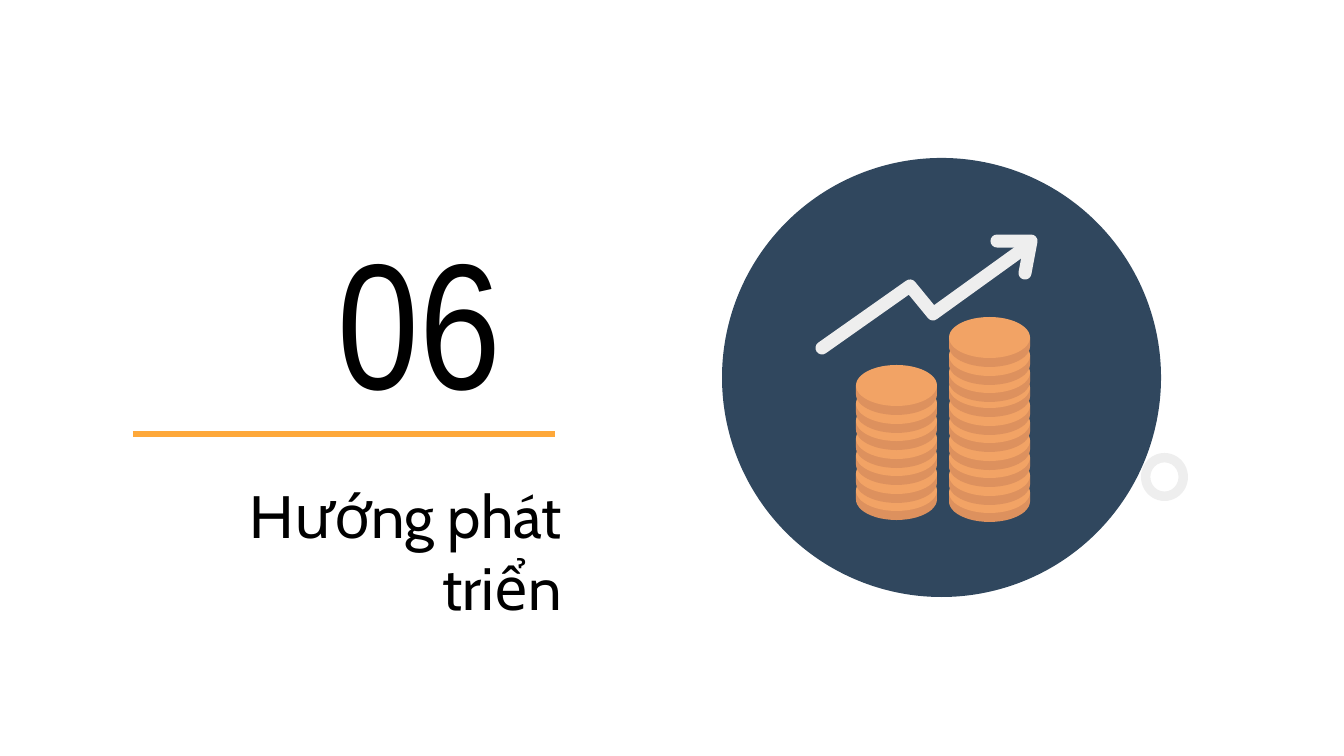
from dataclasses import dataclass
from math import cos, pi, sin

from lxml.etree import SubElement
from pptx import Presentation
from pptx.dml.color import RGBColor
from pptx.enum.shapes import MSO_CONNECTOR, MSO_SHAPE
from pptx.enum.text import MSO_AUTO_SIZE, PP_ALIGN
from pptx.oxml.ns import qn
from pptx.shapes.autoshape import Shape
from pptx.slide import Slide
from pptx.util import Emu, Pt

EMU_PER_PX = 914400 / 134.4
COLORS = {
    "text": "000000",
    "rule": "FEA83A",
    "disc": "30475E",
    "light": "EEEEEE",
    "coin_face": "F2A365",
    "coin_edge": "DD915E",
}
COIN_WIDTH, COIN_HEIGHT, COIN_EDGE = 81, 41, 9
COINS_PER_PITCH, PITCH = 2, 35
ARROW_WIDTH = 13

Point = tuple[float, float]


@dataclass(frozen=True)
class Label:
    text: str
    left: int
    top: int
    width: int
    height: int
    font: str
    size: int


@dataclass(frozen=True)
class CoinRun:
    """Evenly stepped coins, counted upward from the lowest one."""
    left: int
    lowest_top: int
    count: int


LABELS = [
    Label("06 ", 133, 204, 422, 231, "Arial Narrow", 96),
    Label("Hướng phát triển", 133, 472, 442, 159, "Cabin", 32),
]
COIN_RUNS = [CoinRun(856, 470, 7), CoinRun(949, 472, 7), CoinRun(949, 352, 3)]
ARROW_STROKES = [
    [(822, 348), (910, 286), (933, 314), (1019, 252)],
    [(997, 241), (1031, 241), (1025, 273)],
]


def px(value: float) -> Emu:
    return Emu(round(value * EMU_PER_PX))


def color(name: str) -> RGBColor:
    return RGBColor.from_string(COLORS[name])


def paint(shape: Shape, fill: str) -> None:
    shape.shadow.inherit = False
    shape.fill.solid()
    shape.fill.fore_color.rgb = color(fill)
    shape.line.fill.background()


def add_label(page: Slide, label: Label) -> None:
    box = page.shapes.add_textbox(
        px(label.left), px(label.top), px(label.width), px(label.height))
    frame = box.text_frame
    frame.word_wrap = True
    frame.auto_size = MSO_AUTO_SIZE.SHAPE_TO_FIT_TEXT
    para = frame.paragraphs[0]
    para.text = label.text
    para.alignment = PP_ALIGN.RIGHT
    para.font.name = label.font
    para.font.size = Pt(label.size)
    para.font.color.rgb = color("text")


def add_rule(page: Slide, left: int, right: int, y: int) -> None:
    rule = page.shapes.add_connector(
        MSO_CONNECTOR.STRAIGHT, px(left), px(y), px(right), px(y))
    rule.line.color.rgb = color("rule")
    rule.line.width = Pt(2.75)
    SubElement(rule._element.spPr, qn("a:effectLst"))


def add_preset(page: Slide, preset: MSO_SHAPE, left: int, top: int,
               width: int, height: int, fill: str) -> Shape:
    shape = page.shapes.add_shape(preset, px(left), px(top), px(width), px(height))
    paint(shape, fill)
    return shape


def add_outline(page: Slide, points: list[Point], close: bool) -> Shape:
    scaled = [(px(x), px(y)) for x, y in points]
    builder = page.shapes.build_freeform(*scaled[0])
    builder.add_line_segments(scaled[1:], close=close)
    return builder.convert_to_shape()


def half_ellipse(center_x: float, center_y: float, start: float) -> list[Point]:
    steps = 24
    return [(center_x + COIN_WIDTH / 2 * cos(start + pi * step / steps),
             center_y + COIN_HEIGHT / 2 * sin(start + pi * step / steps))
            for step in range(steps + 1)]


def add_coin(page: Slide, left: int, top: int) -> None:
    center_x, shoulder = left + COIN_WIDTH / 2, top + COIN_HEIGHT / 2
    base = shoulder + COIN_EDGE
    crown = [point for point in half_ellipse(center_x, base, pi) if point[1] <= shoulder]
    edge = add_outline(page, [
        *half_ellipse(center_x, base, 0),
        (left, shoulder), *crown, (left + COIN_WIDTH, shoulder),
    ], close=True)
    paint(edge, "coin_edge")
    add_preset(page, MSO_SHAPE.OVAL, left, top, COIN_WIDTH, COIN_HEIGHT, "coin_face")


def add_coin_run(page: Slide, run: CoinRun) -> None:
    for index in range(run.count):
        add_coin(page, run.left, run.lowest_top - index * PITCH // COINS_PER_PITCH)


def add_arrow_stroke(page: Slide, points: list[Point]) -> None:
    """Draw an open thick line with round ends and corners."""
    stroke = add_outline(page, points, close=False)
    stroke.shadow.inherit = False
    stroke.fill.background()
    stroke.line.color.rgb = color("light")
    stroke.line.width = px(ARROW_WIDTH)
    line = stroke.line._get_or_add_ln()
    line.set("cap", "rnd")
    SubElement(line, qn("a:round"))


def main() -> None:
    deck = Presentation()
    deck.slide_width, deck.slide_height = px(1344), px(756)
    page = deck.slides.add_slide(deck.slide_layouts[6])

    for label in LABELS:
        add_label(page, label)
    add_rule(page, 133, 555, 434)

    ring = add_preset(page, MSO_SHAPE.DONUT, 1141, 453, 47, 48, "light")
    ring.adjustments[0] = 0.2
    add_preset(page, MSO_SHAPE.OVAL, 722, 158, 439, 439, "disc")
    for run in COIN_RUNS:
        add_coin_run(page, run)
    for points in ARROW_STROKES:
        add_arrow_stroke(page, points)

    deck.save("out.pptx")


if __name__ == "__main__":
    main()
